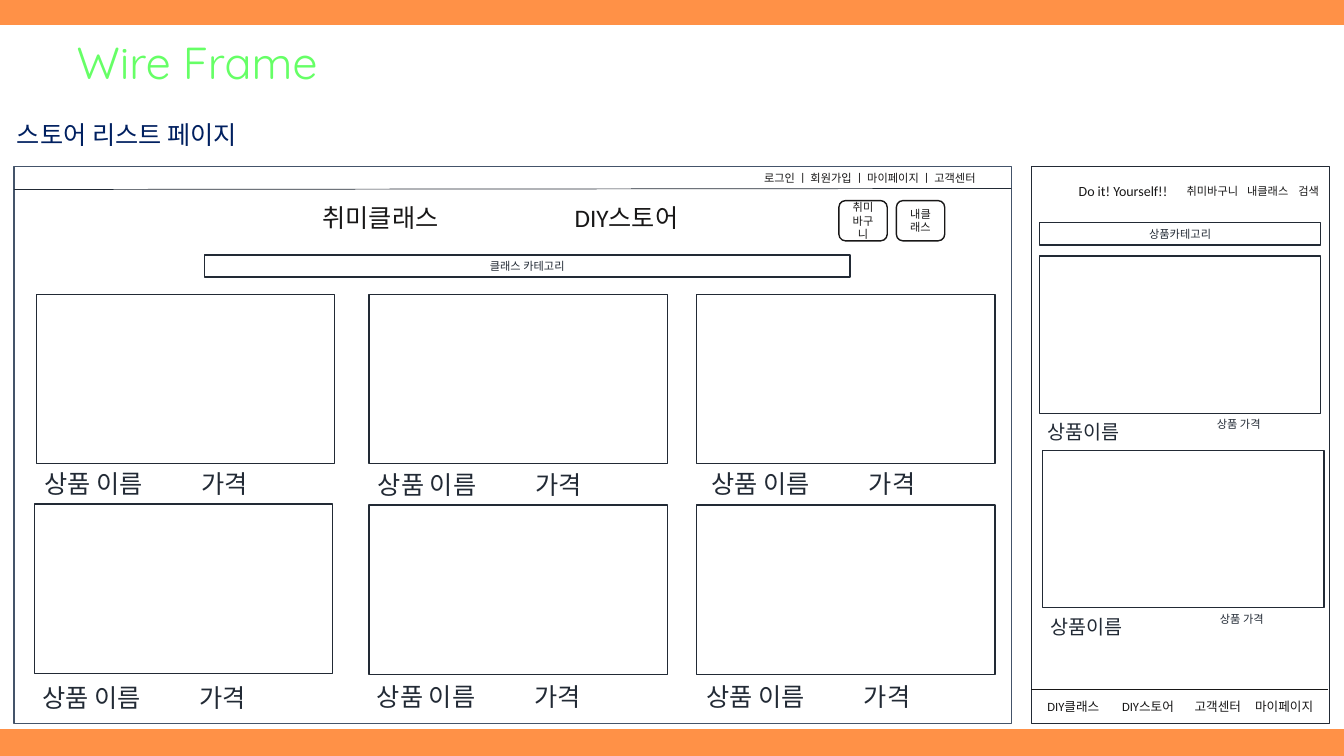
from lxml.etree import SubElement as add_element
from pptx import Presentation
from pptx.dml.color import RGBColor
from pptx.enum.shapes import MSO_CONNECTOR as Connector, MSO_SHAPE as Preset
from pptx.enum.text import MSO_ANCHOR as Anchor, MSO_AUTO_SIZE as AutoSize, PP_ALIGN as Align
from pptx.oxml.ns import qn
from pptx.util import Inches, Pt

GRID = 0.1
COLORS = {
    "band": "FF9147", "paper": "FFFFFF", "title": "66FF66", "heading": "002060",
    "frame": "44546A", "box": "222A35", "ink": "181717",
}
CARD_SIZE = (29.6, 16.8)
CARDS = [
    ((3.6, 29.2), (3.4, 46)), ((36.6, 29.2), (36.5, 46.1)), ((69.1, 29.2), (69.6, 46)),
    ((3.4, 50), (3.2, 67.2)), ((36.6, 50.1), (36.4, 67.1)), ((69.1, 50.1), (69.1, 67.1)),
]
MOBILE_CARDS = [(103.1, 25.4), (103.4, 44.7)]


def cells(*counts):
    """Convert grid cells to lengths."""
    return [Inches(count * GRID) for count in counts]


def color(name):
    """Look up a named colour."""
    return RGBColor.from_string(COLORS[name])


def apply(target, values):
    """Set every attribute in a dict of format values."""
    for name, value in values.items():
        setattr(target, name, value)


def write(shape, text, size, ink, font="Calibri", align=Align.LEFT,
          anchor=Anchor.TOP, fit=AutoSize.SHAPE_TO_FIT_TEXT, tabs=()):
    """Fill a shape with one formatted paragraph and its tab stops."""
    frame = shape.text_frame
    apply(frame, {"text": text, "word_wrap": True, "auto_size": fit, "vertical_anchor": anchor})
    paragraph = frame.paragraphs[0]
    paragraph.alignment = align
    if tabs:
        tab_list = add_element(paragraph._p.get_or_add_pPr(), qn("a:tabLst"))
        for position in cells(*tabs):
            add_element(tab_list, qn("a:tab"), pos=str(position), algn="l")
    apply(paragraph.runs[0].font, {"name": font, "size": Pt(size)})
    paragraph.runs[0].font.color.rgb = color(ink)


def add_label(slide, area, text, size, ink="box", tabs=()):
    """Add a left-aligned text box."""
    write(slide.shapes.add_textbox(*cells(*area)), text, size, ink, tabs=tabs)


def add_box(slide, area, line="box", text="", preset=Preset.RECTANGLE, filled=True):
    """Add an outlined box with an optional centred caption."""
    shape = slide.shapes.add_shape(preset, *cells(*area))
    shape.shadow.inherit = False
    if filled:
        shape.fill.solid()
        shape.fill.fore_color.rgb = color("paper")
    else:
        shape.fill.background()
    shape.line.color.rgb = color(line)
    shape.line.width = Pt(1)
    if text:
        write(shape, text, 8, line, align=Align.CENTER, anchor=Anchor.MIDDLE, fit=AutoSize.NONE)
    return shape


def add_rule(slide, ends, ink):
    """Add a thin dividing line."""
    rule = slide.shapes.add_connector(Connector.STRAIGHT, *cells(*ends))
    rule.line.color.rgb = color(ink)
    rule.line.width = Pt(0.5)
    add_element(rule._element.spPr, qn("a:effectLst"))


def add_title(slide, panel):
    """Place the slide title on top of the white panel."""
    title = slide.shapes.title
    apply(title, dict(zip(("left", "top", "width", "height"), cells(6.6, 2.9, 27.7, 6.4))))
    write(title, "Wire Frame", 32, "title", font="Quicksand")
    panel._element.addnext(title._element)


def add_desktop(slide):
    """Draw the desktop store page."""
    add_box(slide, (1.4, 16.5, 98.9, 55.3), "frame")
    add_rule(slide, (1.4, 18.8, 100.3, 18.7), "box")
    add_label(slide, (74.8, 16.5, 25.5, 2.4), "로그인 ㅣ 회원가입 ㅣ 마이페이지 ㅣ 고객센터", 8, "ink")
    add_label(slide, (21.2, 19.6, 62.8, 4), "\t취미클래스\tDIY스토어", 18, "ink", (9.8, 34.8))
    add_box(slide, (20.3, 25.3, 64, 2.2), text="클래스 카테고리")
    for left, text in ((83.2, "취미바구니"), (88.9, "내클래스")):
        add_box(slide, (left, 19.9, 4.8, 4), "ink", text, Preset.ROUNDED_RECTANGLE, False)
    for card, label in CARDS:
        add_box(slide, card + CARD_SIZE)
        add_label(slide, label + (29.8, 4), "상품 이름\t가격", 18, tabs=(15.6,))


def add_mobile(slide):
    """Draw the mobile store page."""
    add_box(slide, (102.3, 16.5, 29.6, 55.3))
    add_label(slide, (106, 17.6, 10.8, 2.7), "Do it! Yourself!!", 10, "ink")
    add_label(slide, (116.7, 17.8, 16, 2.4), "취미바구니\t내클래스\t검색", 8, "ink", (6, 11.1))
    add_box(slide, (103.1, 22.1, 27.9, 2.2), text="상품카테고리")
    for left, top in MOBILE_CARDS:
        add_box(slide, (left, top, 27.9, 15.6))
        add_label(slide, (left - 0.2, top + 15.8, 15.7, 3.4), "상품이름", 14)
        add_label(slide, (left + 16.6, top + 15.55, 11.8, 2.4), "상품 가격", 8)
    add_rule(slide, (102.3, 68.4, 131.7, 68.4), "ink")
    add_label(slide, (102.9, 68.8, 30, 2.5), "DIY클래스\tDIY스토어\t고객센터\t마이페이지",
              9, "ink", (7.4, 14.6, 20.6))


def main():
    """Build and save the wireframe slide."""
    presentation = Presentation()
    apply(presentation, {"slide_width": Inches(13.33), "slide_height": Inches(7.5)})
    slide = presentation.slides.add_slide(presentation.slide_layouts[5])
    slide.background.fill.solid()
    slide.background.fill.fore_color.rgb = color("band")
    panel = add_box(slide, (0, 2.6, 133.3, 69.7), "paper")
    add_title(slide, panel)
    add_label(slide, (0.7, 11.3, 97.1, 4), "스토어 리스트 페이지", 18, "heading")
    add_desktop(slide)
    add_mobile(slide)
    presentation.save("out.pptx")


if __name__ == "__main__":
    main()
